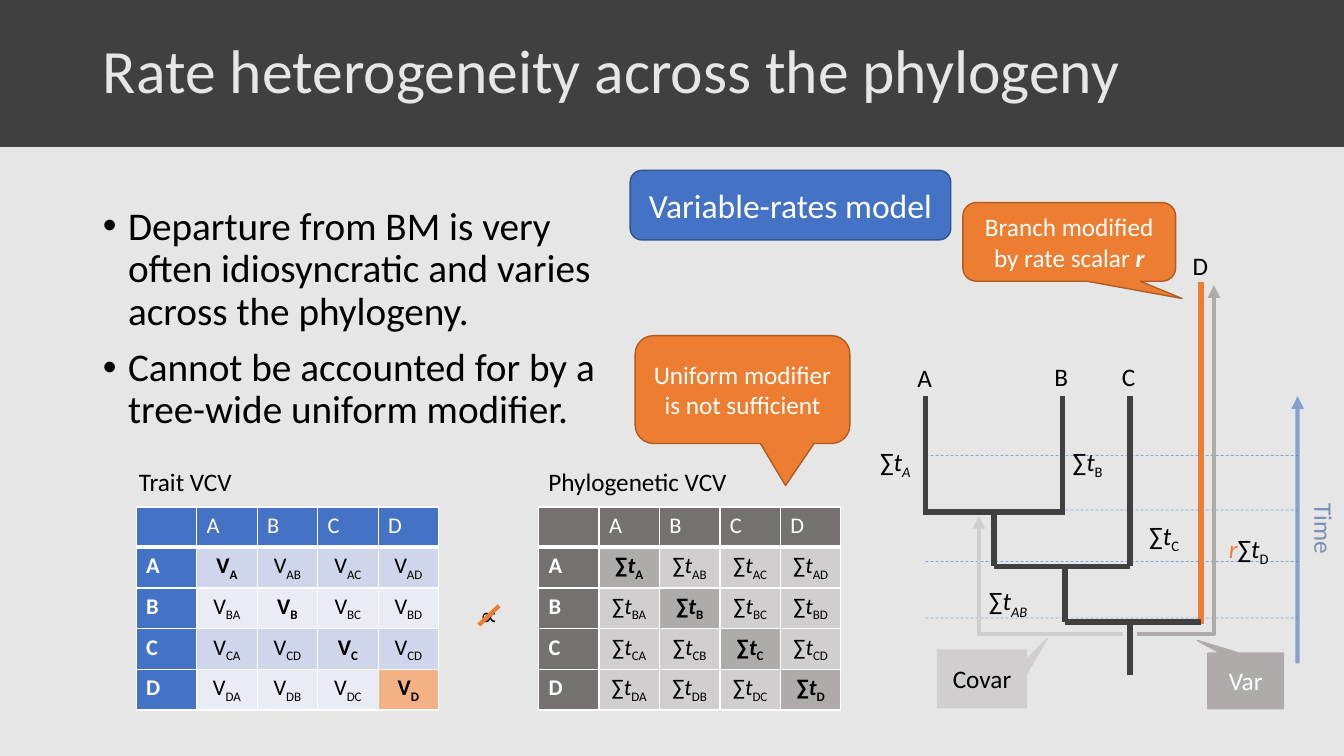
from dataclasses import dataclass

from lxml import etree
from pptx import Presentation
from pptx import util as u
from pptx.dml import color
from pptx.enum import dml, shapes, text
from pptx.oxml import ns


@dataclass(frozen=True)
class Theme:
    font: str = "Calibri"
    title: int = 44
    body: int = 28
    heading: int = 24
    label: int = 18
    cell: int = 16
    pale: str = "E7E6E6"
    dark: str = "404040"
    black: str = "000000"
    white: str = "FFFFFF"
    blue: str = "4472C4"
    blue_edge: str = "325491"
    time: str = "2F5597"
    orange: str = "ED7D31"
    orange_edge: str = "AF5C24"
    peach: str = "F4B183"
    taupe: str = "767171"
    grey: str = "AFABAB"
    light: str = "D0CECE"
    band_a: str = "CFD5EA"
    band_b: str = "E9EBF5"


T = Theme()
TAXA = "ABCD"
SUM_T = [("∑", {}), ("t", {"italic": True})]


def rgb(value):
    return color.RGBColor.from_string(value)


def child(parent, tag, **attrs):
    return etree.SubElement(parent, ns.qn(tag), attrs)


def place(sp, x, y, w, h):
    for name, value in dict(left=x, top=y, width=w, height=h).items():
        setattr(sp, name, u.Inches(value))


def set_alpha(element):
    for clr in element.iter(ns.qn("a:srgbClr")):
        child(clr, "a:alpha", val="60000")


def subscript(letters, **fmt):
    return (letters, {"sub": True, **fmt})


def write(p, runs, size=T.label, fill=T.black, **shared):
    for content, own in [(runs, {})] if isinstance(runs, str) else runs:
        fmt = {"name": T.font, "size": u.Pt(size), "bold": False, "italic": False, **shared, **own}
        sub, tint = fmt.pop("sub", False), fmt.pop("tint", fill)
        r = p.add_run()
        r.text = content
        for name, value in fmt.items():
            setattr(r.font, name, value)
        r.font.color.rgb = rgb(tint)
        if sub:
            r.font._element.set("baseline", "-25000")


def add_label(s, x, y, w, runs, fill=T.black, h=0.4):
    sp = s.shapes.add_textbox(*map(u.Inches, (x, y, w, h)))
    tf = sp.text_frame
    tf.word_wrap = False
    tf.auto_size = text.MSO_AUTO_SIZE.SHAPE_TO_FIT_TEXT
    write(tf.paragraphs[0], runs, fill=fill)
    return sp


def style_line(line, tint, width, arrow=False):
    line.color.rgb = rgb(tint)
    line.width = u.Pt(width)
    if arrow:
        child(line._get_or_add_ln(), "a:tailEnd", type="triangle")


def add_line(s, x1, y1, x2, y2, tint=T.dark, width=4, arrow=False, dash=False, faded=False):
    cx = s.shapes.add_connector(shapes.MSO_CONNECTOR.STRAIGHT, *map(u.Inches, (x1, y1, x2, y2)))
    if dash:
        cx.line.dash_style = dml.MSO_LINE.DASH
    style_line(cx.line, tint, width, arrow)
    if faded:
        set_alpha(cx.line._get_or_add_ln())
    child(cx._element.spPr, "a:effectLst")


def add_path(s, points, tint):
    start, *rest = [tuple(map(u.Inches, point)) for point in points]
    builder = s.shapes.build_freeform(*start)
    builder.add_line_segments(rest, close=False)
    sp = builder.convert_to_shape()
    sp.shadow.inherit = False
    sp.fill.background()
    style_line(sp.line, tint, 3, arrow=True)


def add_box(s, kind, box, fill, edge, runs="", size=T.label, tint=T.white, adjust=()):
    sp = s.shapes.add_shape(getattr(shapes.MSO_SHAPE, kind), *map(u.Inches, box))
    sp.shadow.inherit = False
    sp.fill.solid()
    sp.fill.fore_color.rgb = rgb(fill)
    style_line(sp.line, edge, 1)
    for i, value in enumerate(adjust):
        sp.adjustments[i] = value
    tf = sp.text_frame
    tf.word_wrap = True
    tf.vertical_anchor = text.MSO_ANCHOR.MIDDLE
    p = tf.paragraphs[0]
    p.alignment = text.PP_ALIGN.CENTER
    if runs:
        write(p, runs, size, tint)
    return sp


def add_header(s, box, title):
    x, y, w, h = box
    band = add_box(s, "RECTANGLE", box, T.dark, T.dark)
    s.shapes._spTree.insert(2, band._element)
    sp = s.shapes.title
    place(sp, x + 0.92, y, w - 1.83, h)
    tf = sp.text_frame
    tf.vertical_anchor = text.MSO_ANCHOR.MIDDLE
    tf.auto_size = text.MSO_AUTO_SIZE.NONE
    p = tf.paragraphs[0]
    for name, value in dict(alignment=text.PP_ALIGN.LEFT, line_spacing=0.9).items():
        setattr(p, name, value)
    write(p, title, T.title, T.pale)


def add_bullets(s, box, items):
    sp = s.placeholders[1]
    place(sp, *box)
    tf = sp.text_frame
    tf.auto_size = text.MSO_AUTO_SIZE.NONE
    for i, item in enumerate(items):
        p = tf.add_paragraph() if i else tf.paragraphs[0]
        pPr = p._p.get_or_add_pPr()
        for name, value in dict(marL=0.25, indent=-0.25).items():
            pPr.set(name, str(u.Inches(value)))
        child(pPr, "a:buChar", char="•")
        for name, value in dict(line_spacing=0.9, space_before=u.Pt(10 if i else 0)).items():
            setattr(p, name, value)
        write(p, item, T.body)


def style_cell(cell, fill, bottom):
    tcPr = cell._tc.get_or_add_tcPr()
    for side, width in dict(L=1, R=1, T=1, B=bottom).items():
        ln = child(tcPr, f"a:ln{side}", w=str(u.Pt(width)))
        child(child(ln, "a:solidFill"), "a:srgbClr", val=T.white)
    cell.fill.solid()
    cell.fill.fore_color.rgb = rgb(fill)


def add_matrix(s, box, caption, caption_dx, caption_w, head, symbol, fill_at, renamed=None):
    x, y, w, h = box
    n = len(TAXA) + 1
    add_label(s, x + caption_dx, y - 0.45, caption_w, caption)
    table = s.shapes.add_table(n, n, *map(u.Inches, box)).table
    table.horz_banding = False
    for line in table.columns:
        line.width = u.Inches(w / n)
    for line in table.rows:
        line.height = u.Inches(h / n)
    for row in range(n):
        for col in range(n):
            cell = table.cell(row, col)
            p = cell.text_frame.paragraphs[0]
            inner = row and col
            style_cell(cell, fill_at(row, col) if inner else head, 1 if row else 3)
            if inner:
                same = row == col
                pair = TAXA[row - 1] + ("" if same else TAXA[col - 1])
                p.alignment = text.PP_ALIGN.CENTER
                write(p, symbol + [subscript((renamed or {}).get(pair, pair))], T.cell, bold=same)
            elif row or col:
                write(p, TAXA[max(row, col) - 1], T.cell, T.white, bold=bool(row))
            else:
                p.font.size = u.Pt(T.cell)


def add_not_proportional(s, box):
    x, y, w, h = box
    add_label(s, x, y, w, "∝", h=h)
    add_line(s, x + 0.29, y + 0.1, x + 0.09, y + 0.29, T.orange, 3)


def add_tree(s, box):
    x, y, w, h = box
    a, b, c, d = (x + dx for dx in (0.58, 1.94, 2.61, 3.31))
    ab, abc = x + 1.26, x + 1.96
    tips, join_ab, join_abc, root = (y + dy for dy in (1.53, 2.68, 3.22, 3.77))
    time = x + w - 0.43
    for dy in (2.12, 2.66, 3.17, 3.73):
        add_line(s, a, y + dy, time, y + dy, T.blue, 0.5, dash=True, faded=True)
    for branch in (
        (a, tips, a, join_ab + 0.03), (b, tips, b, join_ab + 0.03), (b, join_ab, a, join_ab),
        (ab, join_ab, ab, join_abc), (c, tips, c, join_abc), (c, join_abc, ab, join_abc),
        (abc, join_abc, abc, root), (c, root, c, y + h),
    ):
        add_line(s, *branch)
    add_line(s, d, y + 0.4, d, root + 0.02, T.orange)
    add_line(s, d, root, abc, root)
    for taxon, tip, dy in zip(TAXA, (a, b, c, d), (1.15, 1.14, 1.14, 0.03)):
        add_label(s, tip - 0.18, y + dy, 0.36, taxon)
    rate = [("r", {"italic": True, "tint": T.orange})]
    for dx, dy, width, runs in (
        (0.03, 1.98, 0.52, SUM_T + [subscript("A", italic=True)]),
        (1.94, 1.98, 0.53, SUM_T + [subscript("B")]),
        (2.7, 2.71, 0.53, SUM_T + [subscript("C")]),
        (3.49, 2.84, 0.61, rate + SUM_T + [subscript("D")]),
        (1.11, 3.36, 0.61, SUM_T + [subscript("AB", italic=True)]),
    ):
        add_label(s, x + dx, y + dy, width, runs)
    base = y + 3.89
    add_path(s, [(x + 2.68, base), (x + 3.44, base), (x + 3.44, y + 0.43)], T.grey)
    add_box(s, "RECTANGULAR_CALLOUT", (x + 3.38, y + 4.08, 0.75, 0.55), T.grey, T.grey,
            "Var", adjust=(-0.64, -0.73))
    add_box(s, "RECTANGULAR_CALLOUT", (x + 0.7, y + 4.05, 0.88, 0.57), T.light, T.light,
            "Covar", tint=T.black, adjust=(0.74, -0.71))
    add_path(s, [(x + 2.54, base), (x + 1.11, base), (x + 1.11, y + 2.72)], T.light)
    add_line(s, time, y + 4.18, time, tips, T.blue, 3, arrow=True, faded=True)
    axis = add_label(s, time - 0.09, y + 2.65, 0.71, "Time", T.time)
    axis.rotation = 90
    set_alpha(axis._element)


def add_model_notes(s, box):
    x, y, w, h = box
    add_box(s, "ROUNDED_RECTANGULAR_CALLOUT", (x + 3.3, y + 0.32, 2.11, 0.78), T.orange, T.orange_edge,
            [("Branch modified by rate scalar ", {}), ("r", {"bold": True, "italic": True})],
            adjust=(0.53, 0.72, 0.17))
    add_box(s, "ROUNDED_RECTANGULAR_CALLOUT", (x + 0.05, y + 1.64, 2.13, 1.07), T.orange, T.orange_edge,
            "Uniform modifier is not sufficient", adjust=(0.2, 0.89, 0.17))
    add_box(s, "ROUNDED_RECTANGLE", (x, y, 3.18, 0.69), T.blue, T.blue_edge,
            "Variable-rates model", T.heading)


def trait_fill(row, col):
    if row == col == len(TAXA):
        return T.peach
    return T.band_a if row % 2 else T.band_b


def phylogeny_fill(row, col):
    return T.grey if row == col else T.light


def main():
    prs = Presentation()
    prs.slide_width, prs.slide_height = u.Inches(13.33), u.Inches(7.5)
    s = prs.slides.add_slide(prs.slide_layouts[1])
    s.background.fill.solid()
    s.background.fill.fore_color.rgb = rgb(T.pale)
    add_header(s, (0, 0, 13.33, 1.45), "Rate heterogeneity across the phylogeny")
    add_bullets(s, (0.92, 2, 5.35, 4.76), [
        "Departure from BM is very often idiosyncratic and varies across the phylogeny.",
        "Cannot be accounted for by a tree-wide uniform modifier.",
    ])
    add_tree(s, (8.6, 2.4, 4.7, 4.3))
    add_matrix(s, (5.34, 5.03, 3, 2), "Phylogenetic VCV", 0, 1.99, T.taupe, SUM_T, phylogeny_fill)
    add_matrix(s, (1.35, 5.03, 3, 2), "Trait VCV", -0.07, 1.13, T.blue, [("V", {})], trait_fill, {"CB": "CD"})
    add_not_proportional(s, (4.66, 5.91, 0.38, 0.4))
    add_model_notes(s, (6.25, 1.69, 5.41, 2.71))
    prs.save("out.pptx")


if __name__ == "__main__":
    main()
